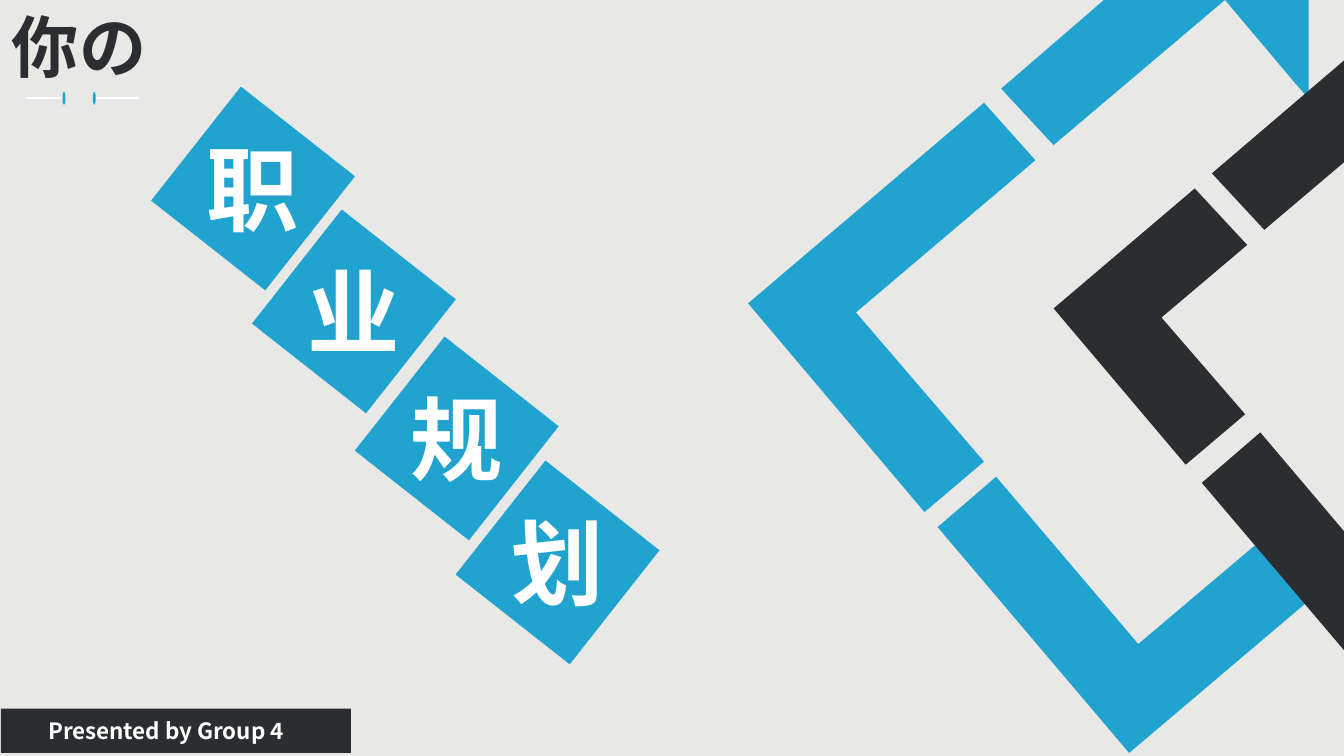
from dataclasses import dataclass

from lxml import etree
from pptx import Presentation
from pptx import util as u
from pptx.dml import color
from pptx.enum import shapes, text
from pptx.oxml import ns

Point = tuple[float, float]


@dataclass(frozen=True)
class Theme:
    """Hold the colours, font and type sizes of the slide."""

    paper: color.RGBColor = color.RGBColor.from_string("E8E8E6")
    blue: color.RGBColor = color.RGBColor.from_string("21A3D0")
    ink: color.RGBColor = color.RGBColor.from_string("2B2E30")
    white: color.RGBColor = color.RGBColor.from_string("FFFFFF")
    font: str = "Noto Sans CJK SC"
    heading: int = 48
    presenter: int = 16
    character: int = 66
    rule: float = 1.5


@dataclass(frozen=True)
class Area:
    """Describe a place on the slide in inches."""

    left: float
    top: float
    width: float
    height: float

    def lengths(self) -> list[u.Length]:
        """Return the four measures as lengths."""
        return [u.Inches(v) for v in (self.left, self.top, self.width, self.height)]


@dataclass(frozen=True)
class Tile:
    """Describe one tilted title tile."""

    character: str
    left: float
    top: float


@dataclass(frozen=True)
class Accent:
    """Describe a dot and the rule that leads away from it."""

    dot_left: float
    rule_start: float
    rule_end: float


THEME = Theme()
TILE_SIDE = 1.44
TILE_TILT = 38.2
TILES = [
    Tile("职", 1.79, 1.15),
    Tile("业", 2.79, 2.37),
    Tile("规", 3.81, 3.63),
    Tile("划", 4.81, 4.86),
]
ACCENTS = [Accent(0.62, 0.63, 0.26), Accent(0.92, 0.95, 1.38)]
BLUE_FRAME: list[list[Point]] = [
    [(9.88, 4.73), (11.29, 6.39), (12.98, 4.96), (12.98, 5.96), (11.2, 7.47), (9.3, 5.23)],
    [(9.76, 1.02), (10.27, 1.59), (8.49, 3.1), (9.76, 4.58), (9.17, 5.08), (7.42, 3.01)],
    [(10.95, 0), (12.98, 0), (12.98, 0.98), (12.85, 0.83), (12.15, 0), (10.45, 1.44), (9.93, 0.88)],
]
DARK_FRAME: list[list[Point]] = [
    [(12.5, 4.29), (13.33, 5.27), (13.33, 6.45), (11.92, 4.79)],
    [(11.85, 1.87), (12.37, 2.43), (11.52, 3.15), (12.35, 4.11), (11.76, 4.61), (10.45, 3.06)],
    [(13.33, 0.6), (13.33, 1.61), (12.54, 2.28), (12.02, 1.72)],
]


def apply(target, formats: dict) -> None:
    """Set each format value on the target."""
    for attribute, value in formats.items():
        setattr(target, attribute, value)


def paint(figure, fill: color.RGBColor) -> None:
    """Give a figure a flat fill without outline or shadow."""
    figure.shadow.inherit = False
    figure.fill.solid()
    figure.fill.fore_color.rgb = fill
    figure.line.fill.background()


def draw_frame(slide, pieces: list[list[Point]], fill: color.RGBColor) -> None:
    """Draw a broken diamond frame as one outline of several pieces."""
    scaled = [[(x * 100, y * 100) for x, y in piece] for piece in pieces]
    outline = slide.shapes.build_freeform(*scaled[0][0], scale=u.Inches(0.01))
    for index, (corner, *others) in enumerate(scaled):
        if index:
            outline.move_to(*corner)
        outline.add_line_segments(others, close=True)
    paint(outline.convert_to_shape(), fill)


def draw_solid(slide, kind: shapes.MSO_SHAPE, area: Area, fill: color.RGBColor, tilt: float = 0) -> None:
    """Draw a filled preset figure."""
    solid = slide.shapes.add_shape(kind, *area.lengths())
    paint(solid, fill)
    solid.rotation = tilt


def draw_rule(slide, start: float, end: float, level: float) -> None:
    """Draw a thin horizontal white rule."""
    x1, x2, y = (u.Inches(v) for v in (start, end, level))
    rule = slide.shapes.add_connector(shapes.MSO_CONNECTOR.STRAIGHT, x1, y, x2, y)
    rule.line.color.rgb = THEME.white
    rule.line.width = u.Pt(THEME.rule)
    etree.SubElement(rule.element.spPr, ns.qn("a:effectLst"))


def write(slide, words: str, area: Area, size: int, ink: color.RGBColor, wrap: bool = True) -> None:
    """Write one bold line centred on the height of its area."""
    frame = slide.shapes.add_textbox(*area.lengths()).text_frame
    apply(frame, {"word_wrap": wrap, "vertical_anchor": text.MSO_ANCHOR.MIDDLE})
    run = frame.paragraphs[0].add_run()
    run.text = words
    run.font.color.rgb = ink
    apply(run.font, {"size": u.Pt(size), "bold": True, "name": THEME.font})
    etree.SubElement(run._r.get_or_add_rPr(), ns.qn("a:ea"), typeface=THEME.font)


def draw_tile(slide, tile: Tile) -> None:
    """Draw a tilted square with its upright character."""
    square = Area(tile.left, tile.top, TILE_SIDE, TILE_SIDE)
    draw_solid(slide, shapes.MSO_SHAPE.RECTANGLE, square, THEME.blue, TILE_TILT)
    glyph = Area(tile.left + 0.16, tile.top + 0.11, 1.12, 1.21)
    write(slide, tile.character, glyph, THEME.character, THEME.white, wrap=False)


def main() -> None:
    """Build and save the cover slide."""
    deck = Presentation()
    apply(deck, {"slide_width": u.Inches(13.33), "slide_height": u.Inches(7.5)})
    cover = deck.slides.add_slide(deck.slide_layouts[6])
    cover.background.fill.solid()
    cover.background.fill.fore_color.rgb = THEME.paper

    draw_frame(cover, BLUE_FRAME, THEME.blue)
    draw_frame(cover, DARK_FRAME, THEME.ink)

    write(cover, "你の", Area(0.02, 0, 3.96, 0.91), THEME.heading, THEME.ink)
    for accent in ACCENTS:
        draw_rule(cover, accent.rule_start, accent.rule_end, 0.97)
        dot = Area(accent.dot_left, 0.91, 0.03, 0.13)
        draw_solid(cover, shapes.MSO_SHAPE.OVAL, dot, THEME.blue)

    draw_solid(cover, shapes.MSO_SHAPE.RECTANGLE, Area(0.01, 7.03, 3.47, 0.44), THEME.ink)
    presenter = Area(0.38, 7.06, 3.42, 0.37)
    write(cover, "Presented by Group 4", presenter, THEME.presenter, THEME.white)

    for tile in TILES:
        draw_tile(cover, tile)

    deck.save("out.pptx")


if __name__ == "__main__":
    main()
